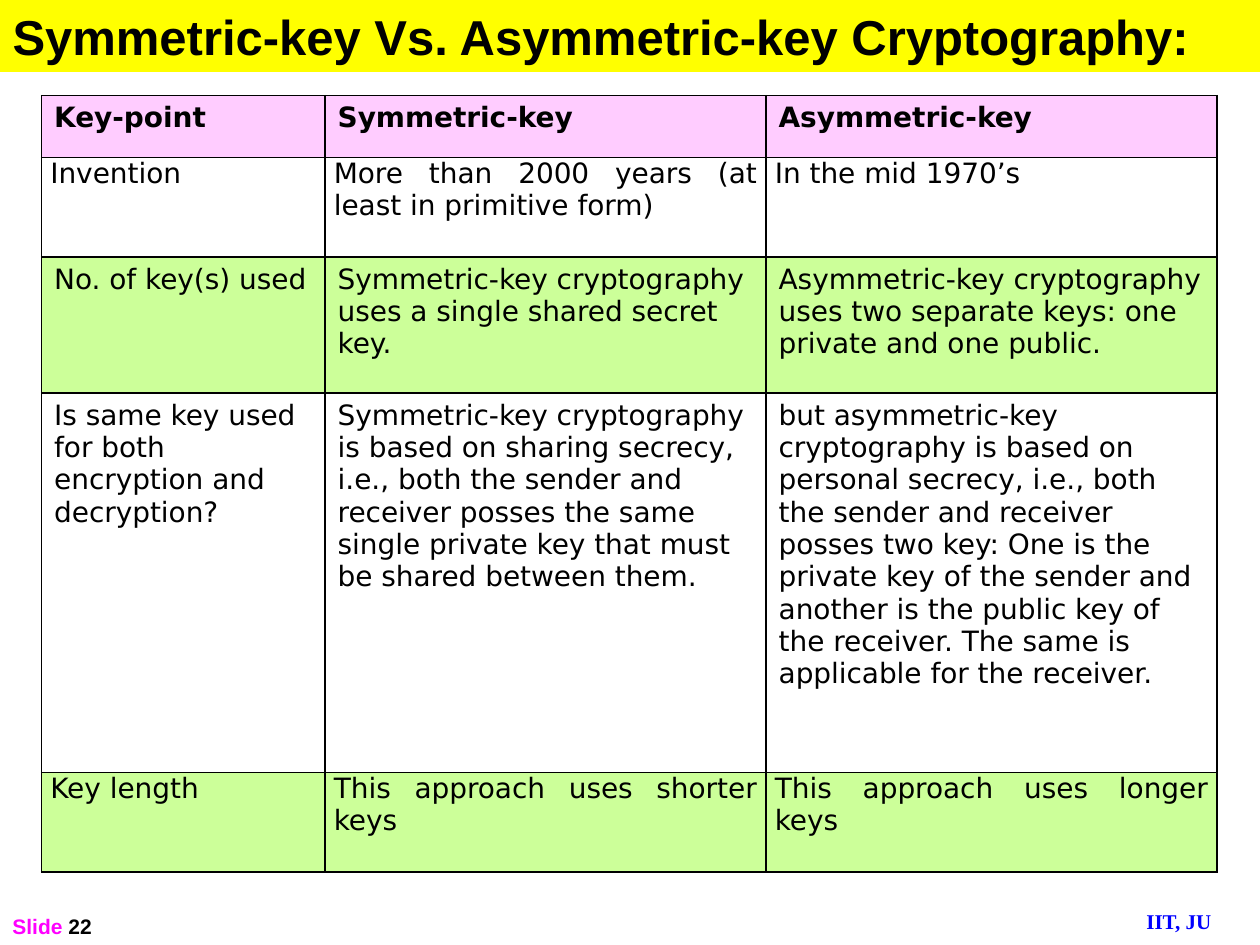
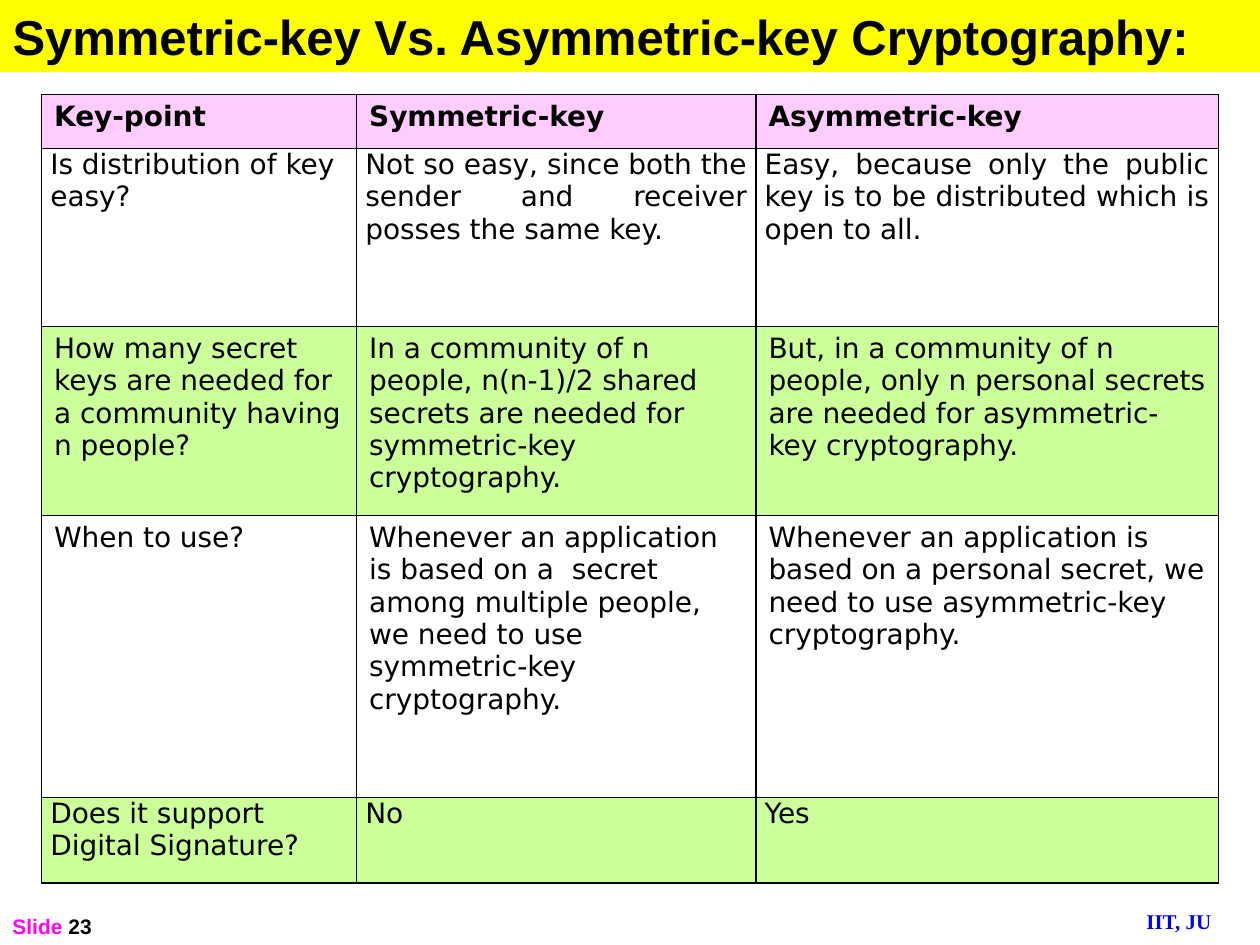
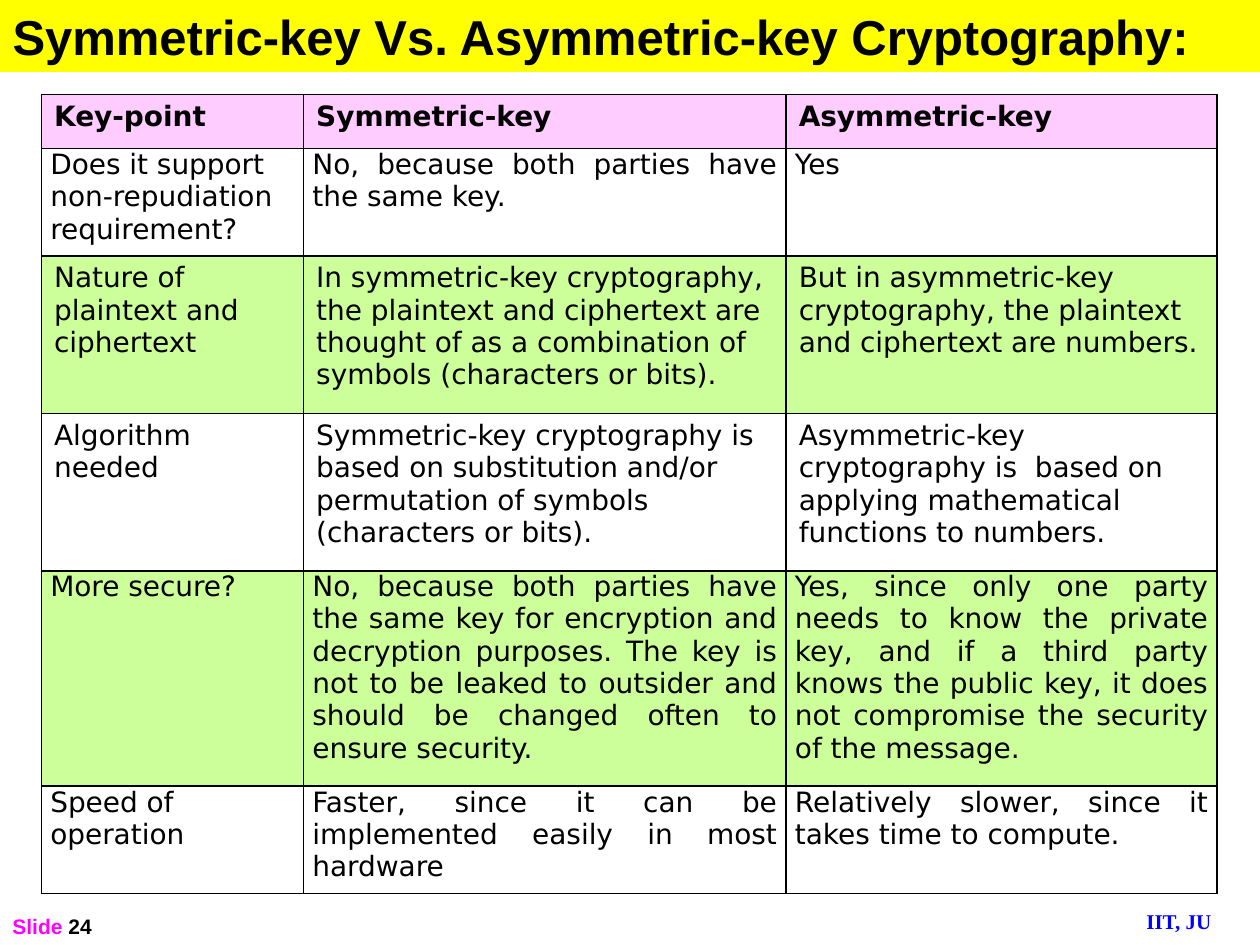
"""Build three slides that compare symmetric-key and asymmetric-key cryptography."""
from lxml.etree import SubElement
from pptx import Presentation
from pptx.dml.color import RGBColor
from pptx.enum.text import MSO_ANCHOR, MSO_AUTO_SIZE, PP_ALIGN
from pptx.oxml import parse_xml
from pptx.oxml.ns import nsdecls
from pptx.util import Inches, Pt

BLACK = RGBColor(0x00, 0x00, 0x00)
YELLOW = RGBColor(0xFF, 0xFF, 0x00)
PINK = RGBColor(0xFF, 0xCC, 0xFF)
GREEN = RGBColor(0xCC, 0xFF, 0x99)
BLUE = RGBColor(0x00, 0x00, 0xFF)
MAGENTA = RGBColor(0xFF, 0x00, 0xFF)

TITLE = "Symmetric-key Vs. Asymmetric-key Cryptography:"
FOOTER = "IIT, JU"
HEADS = ("Key-point", "Symmetric-key", "Asymmetric-key")
FIRST = 22
LEFT = 0.33
LOOSE = (0.1, 0.05)
TIGHT = (0.07, 0)

SLIDES = [
    {
        "top": 0.76,
        "head": 0.49,
        "cols": (2.25, 3.5, 3.58),
        "rows": [
            (0.79, TIGHT, (
                "Invention",
                "More than 2000 years (at least in primitive form)",
                "In the mid 1970’s")),
            (1.08, LOOSE, (
                "No. of key(s) used",
                "Symmetric-key cryptography uses a single shared secret key.",
                "Asymmetric-key cryptography uses two separate keys: one private "
                "and one public.")),
            (3.01, LOOSE, (
                "Is same key used for both encryption and decryption?",
                "Symmetric-key cryptography is based on sharing secrecy, i.e., both "
                "the sender and receiver posses the same single private key that "
                "must be shared between them.",
                "but asymmetric-key cryptography is based on personal secrecy, i.e., "
                "both the sender and receiver posses two key: One is the private key "
                "of the sender and another is the public key of the receiver. The "
                "same is applicable for the receiver.")),
            (0.79, TIGHT, (
                "Key length",
                "This approach uses shorter keys",
                "This approach uses longer keys")),
        ],
    },
    {
        "top": 0.75,
        "head": 0.43,
        "cols": (2.5, 3.17, 3.67),
        "rows": [
            (1.41, TIGHT, (
                "Is distribution of key easy?",
                "Not so easy, since both the sender and receiver posses the same key.",
                "Easy, because only the public key is to be distributed which is "
                "open to all.")),
            (1.5, LOOSE, (
                "How many secret keys are needed for a community having n people?",
                "In a community of n people, n(n-1)/2 shared secrets are needed for "
                "symmetric-key cryptography.",
                "But, in a community of n people, only n personal secrets are needed "
                "for asymmetric-key cryptography.")),
            (2.24, LOOSE, (
                "When to use?",
                "Whenever an application is based on a  secret among multiple "
                "people, we need to use symmetric-key cryptography.",
                "Whenever an application is based on a personal secret, we need to "
                "use asymmetric-key cryptography.")),
            (0.68, TIGHT, ("Does it support Digital Signature?", "No", "Yes")),
        ],
    },
    {
        "top": 0.75,
        "head": 0.43,
        "cols": (2.08, 3.83, 3.42),
        "rows": [
            (0.85, TIGHT, (
                "Does it support non-repudiation requirement?",
                "No, because both parties have the same key.",
                "Yes")),
            (1.25, LOOSE, (
                "Nature of plaintext and ciphertext",
                "In symmetric-key cryptography, the plaintext and ciphertext are "
                "thought of as a combination of symbols (characters or bits).",
                "But in asymmetric-key cryptography, the plaintext and ciphertext "
                "are numbers.")),
            (1.25, LOOSE, (
                "Algorithm needed",
                "Symmetric-key cryptography is based on substitution and/or "
                "permutation of symbols (characters or bits).",
                "Asymmetric-key cryptography is  based on applying mathematical "
                "functions to numbers.")),
            (1.71, TIGHT, (
                "More secure?",
                "No, because both parties have the same key for encryption and "
                "decryption purposes. The key is not to be leaked to outsider and "
                "should be changed often to ensure security.",
                "Yes, since only one party needs to know the private key, and if a "
                "third party knows the public key, it does not compromise the "
                "security of the message.")),
            (0.85, TIGHT, (
                "Speed of operation",
                "Faster, since it can be implemented easily in most hardware",
                "Relatively slower, since it takes time to compute.")),
        ],
    },
]


def write(frame, text, size=12, font="Arial", color=BLACK, bold=True,
          align=PP_ALIGN.LEFT, gap=0):
    para = frame.paragraphs[0]
    para.alignment = align
    para.space_before = para.space_after = Pt(gap)
    run = para.add_run()
    run.text = text
    run.font.size = Pt(size)
    run.font.name = font
    run.font.bold = bold
    run.font.color.rgb = color


def add_box(slide, left, top, width, height, anchor=MSO_ANCHOR.TOP):
    box = slide.shapes.add_textbox(*map(Inches, (left, top, width, height)))
    frame = box.text_frame
    frame.word_wrap = True
    frame.vertical_anchor = anchor
    return frame


def add_title(slide):
    title = slide.shapes.title
    title.left, title.top, title.width, title.height = map(Inches, (0, 0, 10, 0.57))
    title.fill.solid()
    title.fill.fore_color.rgb = YELLOW
    frame = title.text_frame
    frame.auto_size = MSO_AUTO_SIZE.NONE
    frame.vertical_anchor = MSO_ANCHOR.TOP
    write(frame, TITLE, size=28)


def add_edges(cell):
    props = cell._tc.get_or_add_tcPr()
    for spot, side in enumerate("LRTB"):
        line = parse_xml(f'<a:ln{side} {nsdecls("a")} w="{Pt(1)}"><a:solidFill/></a:ln{side}>')
        SubElement(line[0], line[0].tag.replace("solidFill", "srgbClr"), val=str(BLACK))
        props.insert(spot, line)


def fill_cell(cell, text, pad, fill, **style):
    cell.margin_left = cell.margin_right = Inches(pad[0])
    cell.margin_top = cell.margin_bottom = Inches(pad[1])
    if fill:
        cell.fill.solid()
        cell.fill.fore_color.rgb = fill
    else:
        cell.fill.background()
    add_edges(cell)
    write(cell.text_frame, text, size=16, font="DejaVu Sans", gap=6, **style)


def add_grid(slide, top, head, cols, rows):
    lines = [(head, LOOSE, HEADS), *rows]
    total = sum(line[0] for line in lines)
    frame = slide.shapes.add_table(
        len(lines), len(cols), *map(Inches, (LEFT, top, sum(cols), total)))
    table = frame.table
    table.first_row = table.horz_banding = False
    for col, width in zip(table.columns, cols):
        col.width = Inches(width)
    for r, (height, pad, texts) in enumerate(lines):
        table.rows[r].height = Inches(height)
        fill = PINK if r == 0 else GREEN if r % 2 == 0 else None
        for c, text in enumerate(texts):
            align = PP_ALIGN.JUSTIFY if pad == TIGHT and c else PP_ALIGN.LEFT
            fill_cell(table.cell(r, c), text, pad, fill, bold=r == 0, align=align)


def main():
    deck = Presentation()
    deck.slide_width, deck.slide_height = Inches(10), Inches(7.5)
    for number, data in enumerate(SLIDES, FIRST):
        slide = deck.slides.add_slide(deck.slide_layouts[5])
        write(add_box(slide, 9, 7.16, 1.08, 0.3), FOOTER,
              font="Times New Roman", color=BLUE)
        add_grid(slide, **data)
        add_title(slide)
        label = add_box(slide, 0, 7, 2.08, 0.5, anchor=MSO_ANCHOR.BOTTOM)
        write(label, "Slide ", color=MAGENTA)
        write(label, str(number))
    deck.save("out.pptx")


if __name__ == "__main__":
    main()
